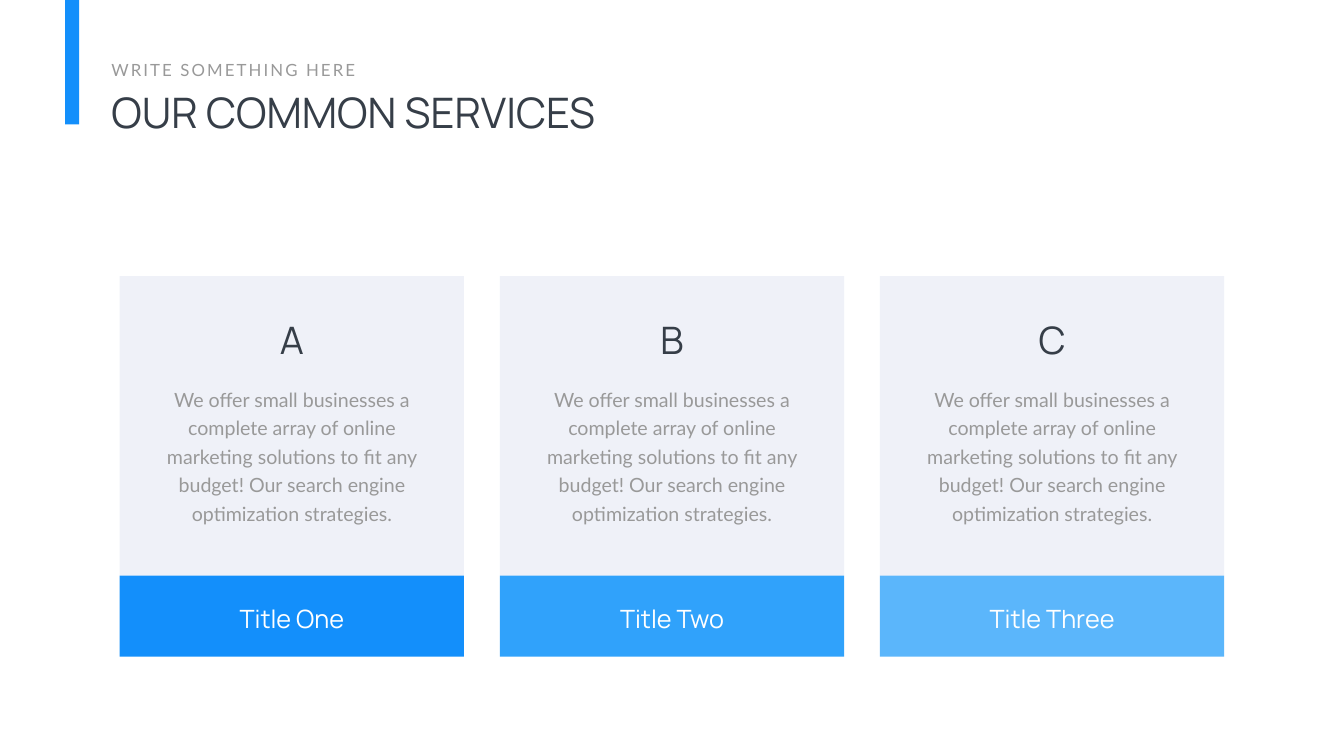
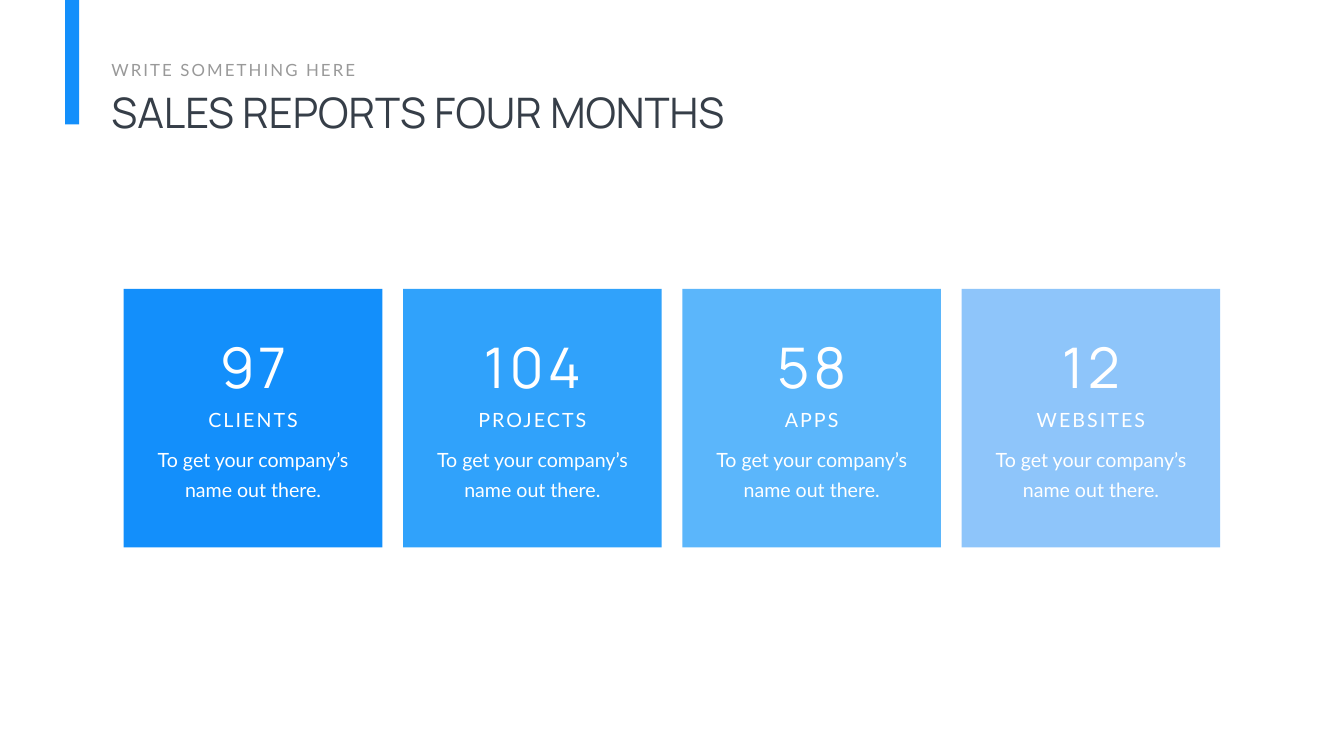
"""Build two slides: a row of service cards and a row of sales figures."""
from pptx import Presentation
from pptx.dml.color import RGBColor as Rgb
from pptx.enum.shapes import MSO_SHAPE as Shape
from pptx.enum.text import MSO_ANCHOR as Anchor, MSO_AUTO_SIZE as Auto, PP_ALIGN as Align
from pptx.util import Inches as In, Pt

WIDE, HIGH = 26.66, 15
INK = Rgb(0x36, 0x3E, 0x48)
GREY = Rgb(0x99, 0x99, 0x99)
PALE = Rgb(0xEF, 0xF1, 0xF8)
WHITE = Rgb(0xFF, 0xFF, 0xFF)
BLUES = [Rgb(0x13, 0x8F, 0xFB), Rgb(0x30, 0xA2, 0xFB),
         Rgb(0x5B, 0xB6, 0xFB), Rgb(0x8E, 0xC5, 0xFA)]
HEAD, BODY = "Manrope", "Lato"

KICKER = "WRITE SOMETHING HERE"
OFFER = ("We offer small businesses a complete array of online marketing solutions "
         "to fit any budget! Our search engine optimization strategies.")
SERVICES = [("A", "Title One"), ("B", "Title Two"), ("C", "Title Three")]
CLAIM = "To get your company’s name out there."
SALES = [("97", 1.7, "CLIENTS", 2.04), ("104", 2.34, "PROJECTS", 2.44),
         ("58", 1.8, "APPS", 1.33), ("12", 1.46, "WEBSITES", 2.43)]


def place(shape, left, top, width, height):
    shape.left, shape.top, shape.width, shape.height = map(In, (left, top, width, height))


def rect(slide, left, top, width, height, fill):
    box = slide.shapes.add_shape(Shape.RECTANGLE, In(left), In(top), In(width), In(height))
    box.shadow.inherit = False
    box.fill.solid()
    box.fill.fore_color.rgb = fill
    box.line.fill.background()


def write(shape, text, size, font=BODY, color=WHITE, align=Align.CENTER,
          wrap=True, track=0, lead=None, pad=(0.1, 0.05)):
    frame = shape.text_frame
    frame.word_wrap = wrap
    frame.auto_size = Auto.NONE
    frame.vertical_anchor = Anchor.TOP
    frame.margin_left = frame.margin_right = In(pad[0])
    frame.margin_top = frame.margin_bottom = In(pad[1])
    para = frame.paragraphs[0]
    para.alignment = align
    if lead:
        para.line_spacing = Pt(lead)
    run = para.add_run()
    run.text = text
    run.font.size, run.font.name = Pt(size), font
    run.font.color.rgb = color
    if track:
        run._r.get_or_add_rPr().set("spc", str(track * 100))


def label(slide, mid, top, width, height, text, size, **form):
    box = slide.shapes.add_textbox(In(mid - width / 2), In(top), In(width), In(height))
    write(box, text, size, **form)


def start(deck, title, width):
    slide = deck.slides.add_slide(deck.slide_layouts[5])
    place(slide.shapes.title, 2.11, 1.67, width, 1.11)
    write(slide.shapes.title, title, 60, font=HEAD, color=INK, align=Align.LEFT)
    label(slide, 4.68, 1.13, 5.14, 0.5, KICKER, 24, color=GREY,
          align=Align.LEFT, wrap=False, track=3)
    rect(slide, 1.29, 0, 0.28, 2.47, BLUES[0])
    return slide


def row(count, width, gap):
    left = (WIDE - count * width - (count - 1) * gap) / 2
    return [left + i * (width + gap) for i in range(count)]


def services(deck):
    slide = start(deck, "OUR COMMON SERVICES", 16.06)
    width, top, tall, band = 6.83, 5.48, 5.94, 1.61
    for left, blue, (mark, name) in zip(row(len(SERVICES), width, 0.71), BLUES, SERVICES):
        mid = left + width / 2
        rect(slide, left, top, width, tall, PALE)
        rect(slide, left, top + tall, width, band, blue)
        label(slide, mid, 6.23, 0.73, 1.01, mark, 54, font=HEAD, color=INK, wrap=False)
        label(slide, mid, 7.47, 5.45, 3.05, OFFER, 28, color=GREY, lead=40.8, pad=(0.24, 0.12))
        label(slide, mid, 11.93, 3.68, 0.71, name, 36, font=HEAD)


def sales(deck):
    slide = start(deck, "SALES REPORTS FOUR MONTHS", 14.51)
    side, top = 5.13, 5.73
    cards = zip(row(len(SALES), side, 0.41), BLUES, SALES)
    for left, blue, (count, span, name, room) in cards:
        mid = left + side / 2
        rect(slide, left, top, side, side, blue)
        label(slide, mid, 6.55, span, 1.45, count, 80, font=HEAD, wrap=False, track=6)
        label(slide, mid, 8.04, room, 0.57, name, 28, wrap=False, track=3)
        label(slide, mid, 8.64, 4.52, 1.39, CLAIM, 28, lead=43, pad=(0.24, 0.12))


def main():
    deck = Presentation()
    deck.slide_width, deck.slide_height = In(WIDE), In(HIGH)
    services(deck)
    sales(deck)
    deck.save("out.pptx")


if __name__ == "__main__":
    main()
